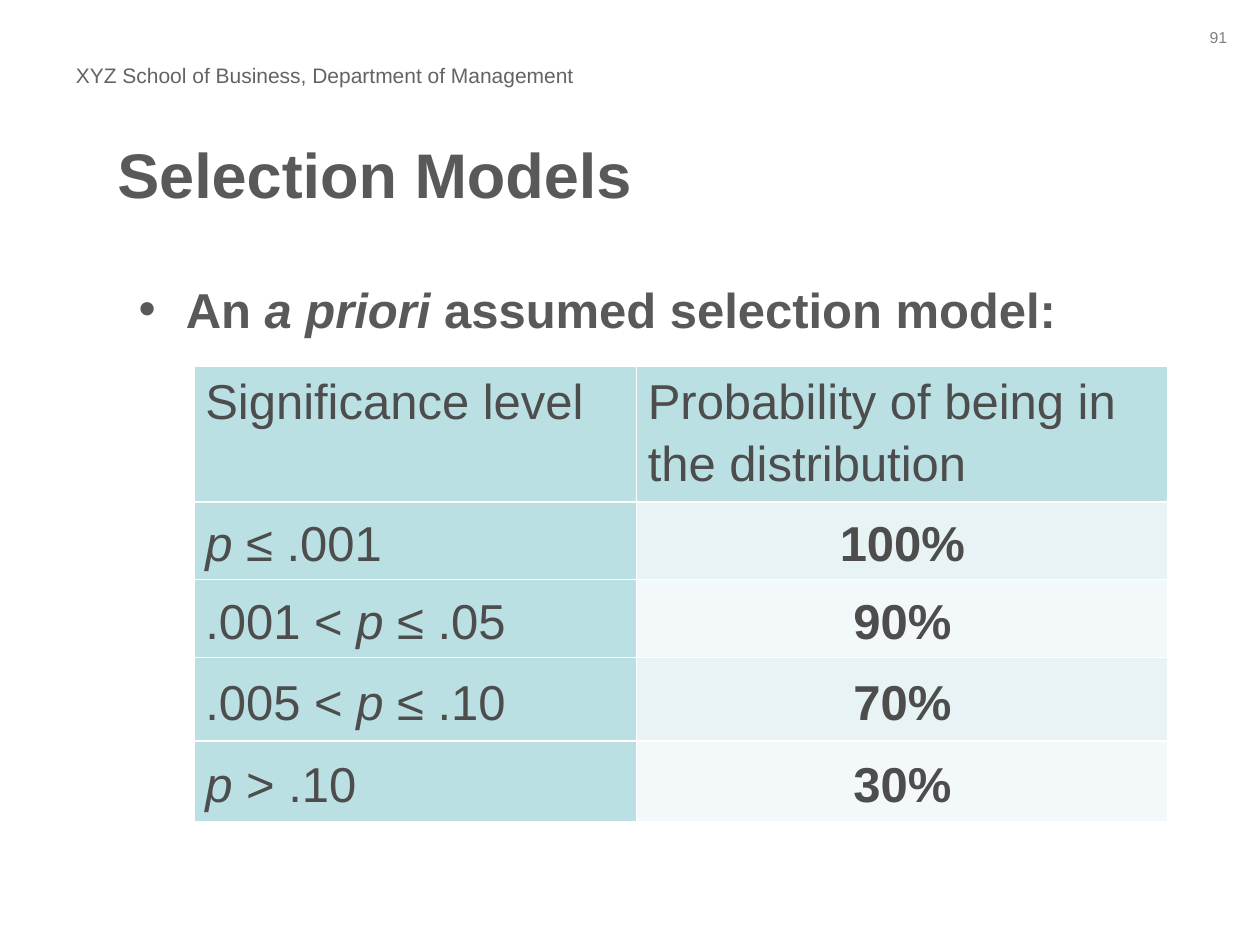
from lxml.etree import SubElement
from pptx import Presentation
from pptx.dml.color import RGBColor
from pptx.enum.text import MSO_ANCHOR as Anchor, MSO_AUTO_SIZE as AutoSize, PP_ALIGN as Align
from pptx.oxml.ns import qn
from pptx.util import Cm, Pt

FONT = "Arial"
GREY, TABLE_TEXT = "595959", "4D4D4D"
TEAL, BANDS = "BBE0E3", ("E7F3F4", "F3F9FA")

HEADER = ("Significance level", "Probability of being in the distribution")
MODEL = [
    ("*p *≤ .001", "100%"),
    (".001 < *p* ≤ .05", "90%"),
    (".005 < *p* ≤ .10", "70%"),
    ("*p* > .10", "30%"),
]


def rgb(color):
    return RGBColor.from_string(color)


def write(p, text, size, color, bold=False, align=Align.LEFT):
    """Fill a paragraph; the parts between asterisks are italic."""
    p.alignment = align
    for i, part in enumerate(text.split("*")):
        if part:
            r = p.add_run()
            r.text = part
            r.font.name, r.font.size = FONT, Pt(size)
            r.font.bold, r.font.italic = bold, i % 2 == 1
            r.font.color.rgb = rgb(color)


def place(sp, box):
    sp.left, sp.top, sp.width, sp.height = (Cm(v) for v in box)


def add_label(slide, box, text, size, color, align):
    tf = slide.shapes.add_textbox(*(Cm(v) for v in box)).text_frame
    tf.word_wrap = True
    write(tf.paragraphs[0], text, size, color, align=align)


def fill_placeholder(sp, box, text, size, anchor):
    place(sp, box)
    tf = sp.text_frame
    tf.auto_size = AutoSize.NONE
    tf.vertical_anchor = anchor
    write(tf.paragraphs[0], text, size, GREY, bold=True)


def add_borders(cell, color="FFFFFF", width=1):
    tcPr = cell._tc.get_or_add_tcPr()
    for i, side in enumerate(("lnL", "lnR", "lnT", "lnB")):
        ln = SubElement(tcPr, qn(f"a:{side}"), w=str(Pt(width)))
        SubElement(SubElement(ln, qn("a:solidFill")), qn("a:srgbClr"), val=color)
        tcPr.insert(i, ln)


def format_cell(cell, text, fill, bold, align, anchor):
    cell.margin_left = cell.margin_right = Cm(0.23)
    cell.margin_top = cell.margin_bottom = 0
    cell.vertical_anchor = anchor
    cell.fill.solid()
    cell.fill.fore_color.rgb = rgb(fill)
    add_borders(cell)
    p = cell.text_frame.paragraphs[0]
    p.line_spacing = 1.15
    write(p, text, 28, TABLE_TEXT, bold, align)


def add_model_table(slide, left, top, widths, heights):
    box = (left, top, sum(widths), sum(heights))
    table = slide.shapes.add_table(
        len(heights), len(widths), *(Cm(v) for v in box)).table
    for col, width in zip(table.columns, widths):
        col.width = Cm(width)
    for row, height in zip(table.rows, heights):
        row.height = Cm(height)

    for c, text in enumerate(HEADER):
        format_cell(table.cell(0, c), text, TEAL, False, Align.LEFT, Anchor.TOP)
    for r, (level, probability) in enumerate(MODEL, start=1):
        format_cell(table.cell(r, 0), level, TEAL, False, Align.LEFT, Anchor.MIDDLE)
        format_cell(table.cell(r, 1), probability, BANDS[(r - 1) % 2],
                    True, Align.CENTER, Anchor.MIDDLE)


def main():
    prs = Presentation()
    prs.slide_width, prs.slide_height = Cm(25.4), Cm(19.05)
    slide = prs.slides.add_slide(prs.slide_layouts[1])

    add_label(slide, (23.29, 0.43, 1.7, 0.64), "91", 9, "808080", Align.RIGHT)
    add_label(slide, (0.84, 1.14, 11.43, 0.76),
              "XYZ School of Business, Department of Management",
              12, "626464", Align.CENTER)
    fill_placeholder(slide.shapes.title, (2.11, 1.9, 21.39, 3.18),
                     "Selection Models", 36, Anchor.MIDDLE)
    fill_placeholder(slide.placeholders[1], (2.54, 5.51, 20.96, 11.43),
                     "An *a priori *assumed selection model:", 28, Anchor.TOP)
    add_model_table(slide, 3.91, 7.39, widths=(8.92, 10.72),
                    heights=(2.54, 1.57, 1.57, 1.68, 1.63))
    prs.save("out.pptx")


if __name__ == "__main__":
    main()
